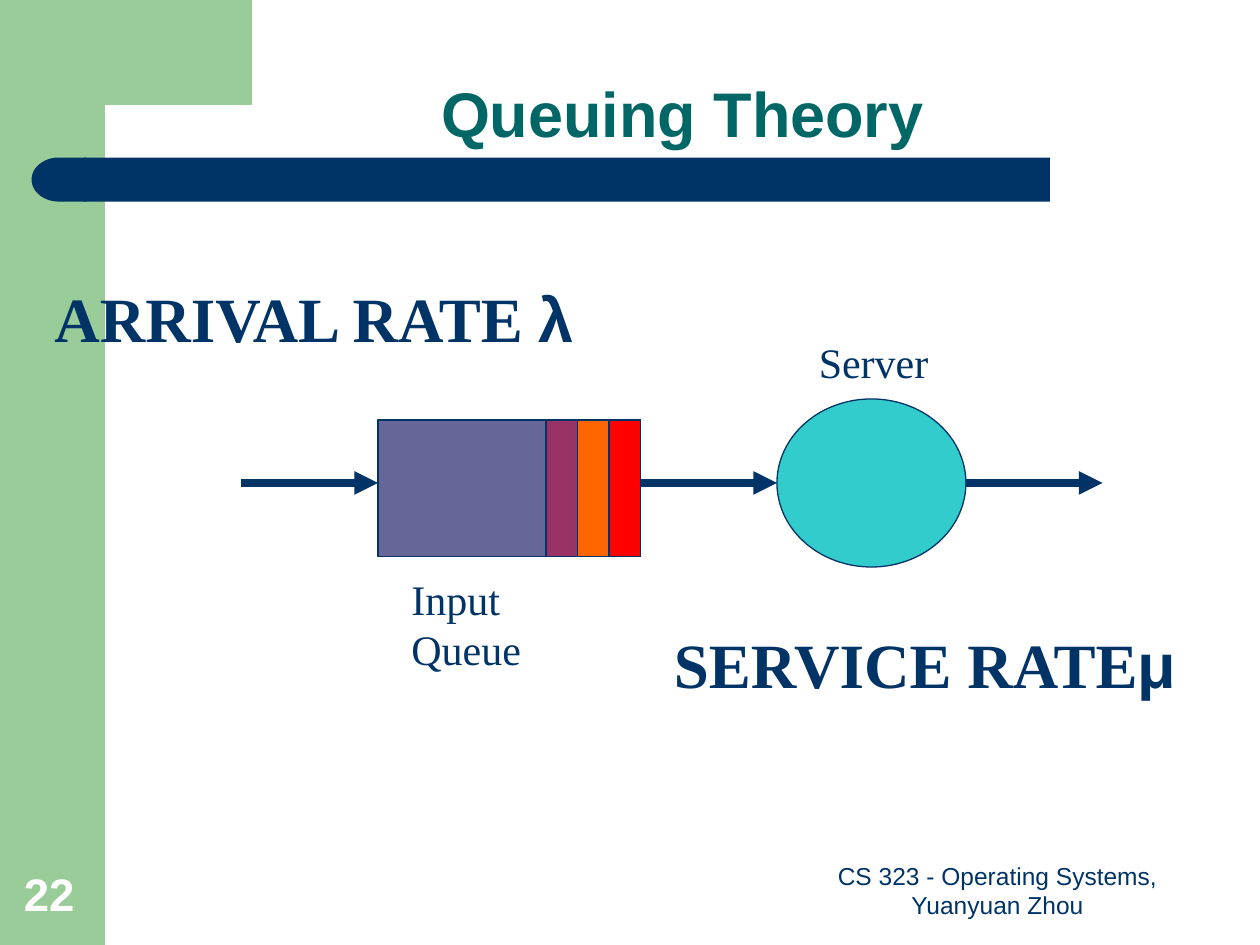
from dataclasses import dataclass

from lxml.etree import SubElement
from pptx import Presentation
from pptx.dml.color import RGBColor
from pptx.enum.shapes import MSO_CONNECTOR, MSO_SHAPE
from pptx.enum.text import MSO_ANCHOR, MSO_AUTO_SIZE, PP_ALIGN
from pptx.oxml.ns import qn
from pptx.util import Inches, Pt


@dataclass(frozen=True)
class Theme:
    sans: str = "Arial"
    serif: str = "Times New Roman"
    navy: str = "003366"
    teal: str = "006666"
    green: str = "99CC99"
    white: str = "FFFFFF"
    queue: str = "666699"
    server: str = "33CCCC"
    jobs: tuple = ("993366", "FF6600", "FF0000")
    heading: int = 36
    number: int = 26
    label: int = 24
    footer: int = 14
    outline: float = 0.75
    arrow: float = 4.5


def grid(*cells):
    """Grid of 120 columns by 90 rows, twelve cells to the inch."""
    return [Inches(cell / 12) for cell in cells]


class Board:
    def __init__(self, slide, theme):
        self.s = slide
        self.theme = theme

    def paint(self, sp, fill, outlined=False):
        sp.shadow.inherit = False
        sp.fill.solid()
        sp.fill.fore_color.rgb = RGBColor.from_string(fill)
        if outlined:
            sp.line.color.rgb = RGBColor.from_string(self.theme.navy)
            sp.line.width = Pt(self.theme.outline)
        else:
            sp.line.fill.background()
        return sp

    def shape(self, kind, box, fill, outlined=False):
        sp = self.s.shapes.add_shape(kind, *grid(*box))
        return self.paint(sp, fill, outlined)

    def outline(self, points, fill):
        start, *rest = [grid(*point) for point in points]
        builder = self.s.shapes.build_freeform(*start)
        builder.add_line_segments(rest, close=True)
        return self.paint(builder.convert_to_shape(), fill)

    def arrow(self, start, end, row):
        cxn = self.s.shapes.add_connector(
            MSO_CONNECTOR.STRAIGHT, *grid(start, row, end, row))
        cxn.line.color.rgb = RGBColor.from_string(self.theme.navy)
        cxn.line.width = Pt(self.theme.arrow)
        SubElement(cxn.line._get_or_add_ln(), qn("a:tailEnd"), type="triangle")
        SubElement(cxn._element.spPr, qn("a:effectLst"))

    def text(self, box, words, size, color, font, bold=False, align=PP_ALIGN.LEFT,
             symbol=None, wrap=False, spacing=None):
        tf = self.s.shapes.add_textbox(*grid(*box)).text_frame
        tf.word_wrap = wrap
        if wrap:
            tf.vertical_anchor = MSO_ANCHOR.BOTTOM
        else:
            tf.auto_size = MSO_AUTO_SIZE.SHAPE_TO_FIT_TEXT
        p = tf.paragraphs[0]
        p.alignment = align
        if spacing:
            p.line_spacing = spacing
        p.font.size = Pt(size)
        p.font.bold = bold
        p.font.color.rgb = RGBColor.from_string(color)
        r = p.add_run()
        r.text = words
        if symbol:
            r.font.name = font
            r = p.add_run()
            r.text = symbol
            r.font.name = self.theme.sans
        else:
            p.font.name = font


def main():
    theme = Theme()
    prs = Presentation()
    prs.slide_width, prs.slide_height = grid(120, 90)
    board = Board(prs.slides.add_slide(prs.slide_layouts[6]), theme)

    # Side band, corner block with a rounded inner edge, and title bar
    board.shape(MSO_SHAPE.RECTANGLE, (0, 0, 10, 90), theme.green)
    board.outline([(6, 0), (24, 0), (24, 10), (9.7, 10), (9.2, 10.2), (8.5, 11),
                   (8.2, 12.5), (8, 14), (8, 15.4), (6, 15.4)], theme.green)
    board.shape(MSO_SHAPE.RECTANGLE, (8, 15, 92, 4.2), theme.navy)
    cap = board.shape(MSO_SHAPE.FLOWCHART_DELAY, (3, 15, 5.2, 4.2), theme.navy)
    cap.rotation = 180

    # Title
    board.text((13, 0, 104, 15), "Queuing Theory", theme.heading, theme.teal,
               theme.sans, bold=True, align=PP_ALIGN.CENTER, wrap=True, spacing=0.9)

    # Queue with waiting jobs at its right end, then the server
    left, top, width, height, job = 36, 40, 25, 13, 3
    right = left + width
    board.shape(MSO_SHAPE.RECTANGLE, (left, top, width, height), theme.queue, True)
    first = right - job * len(theme.jobs)
    for i, color in enumerate(theme.jobs):
        board.shape(MSO_SHAPE.RECTANGLE, (first + i * job, top, job, height), color, True)
    server, diameter = 74, 18
    board.shape(MSO_SHAPE.OVAL, (server, 38, diameter, 16), theme.server, True)

    # Flow: arrival, queue to server, departure
    step = server - right
    for end in (left, server, server + diameter + step):
        board.arrow(end - step, end, 46)

    # Rates and labels
    for box, words, symbol in (((4, 26, 53.3, 8.4), "ARRIVAL RATE ", "λ"),
                               ((63, 59, 50.6, 8.4), "SERVICE RATE", "μ")):
        board.text(box, words, theme.heading, theme.navy, theme.serif,
                   bold=True, symbol=symbol)
    for box, words in (((38, 54, 22.2, 6), "Input Queue"),
                       ((76.8, 31.5, 12.8, 6), "Server")):
        board.text(box, words, theme.label, theme.navy, theme.serif)

    # Footer and slide number
    board.text((76, 82, 38, 6.2), "CS 323 - Operating Systems, Yuanyuan Zhou",
               theme.footer, theme.navy, theme.sans, align=PP_ALIGN.CENTER, wrap=True)
    board.text((1.1, 82, 7.7, 6.3), "22", theme.number, theme.white,
               theme.sans, bold=True, wrap=True)

    prs.save("out.pptx")


if __name__ == "__main__":
    main()
